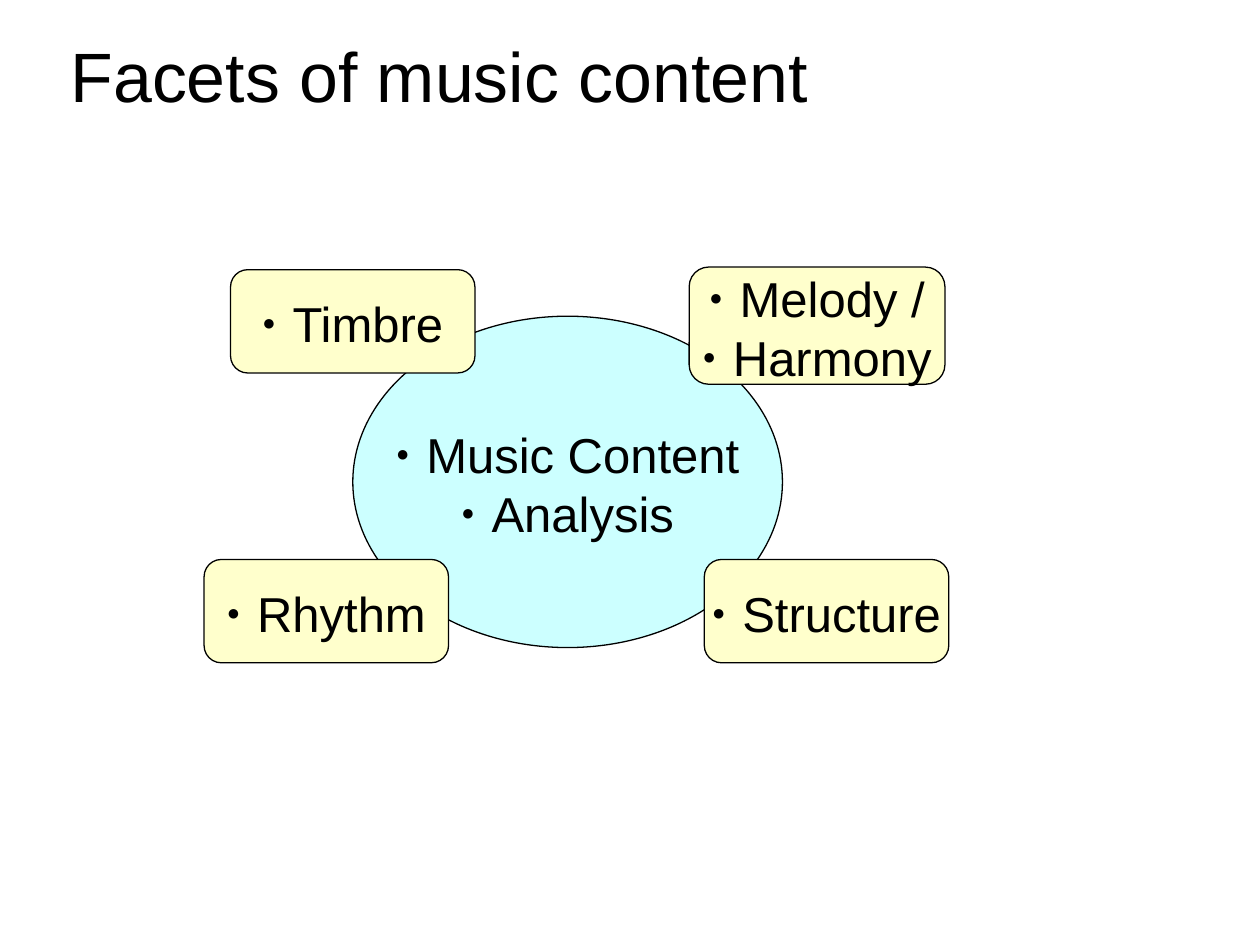
from dataclasses import dataclass

from lxml import etree
from pptx import Presentation
from pptx.dml.color import RGBColor
from pptx.enum.shapes import MSO_SHAPE
from pptx.enum.text import MSO_ANCHOR, PP_ALIGN
from pptx.oxml.ns import qn
from pptx.util import Inches, Pt

ELLIPSE = MSO_SHAPE.OVAL
ROUNDED = MSO_SHAPE.ROUNDED_RECTANGLE
MIDDLE = MSO_ANCHOR.MIDDLE
LEFT, CENTER = PP_ALIGN.LEFT, PP_ALIGN.CENTER


@dataclass(frozen=True)
class Theme:
    font: str = "Arial"
    ink: RGBColor = RGBColor(0x00, 0x00, 0x00)
    hub: RGBColor = RGBColor(0xCC, 0xFF, 0xFF)
    facet: RGBColor = RGBColor(0xFF, 0xFF, 0xCC)
    title_size: Pt = Pt(39.9)
    label_size: Pt = Pt(28)
    outline: Pt = Pt(0.75)


theme = Theme()


def write_lines(frame, lines, size, align, bulleted):
    """Fill a text frame with one paragraph per line, bulleted if asked."""
    frame.vertical_anchor = MIDDLE
    frame.margin_left = frame.margin_right = Inches(0.1)
    frame.margin_top, frame.margin_bottom = Inches(0.08), Inches(0.05)
    frame.text = "\n".join(lines)
    for paragraph in frame.paragraphs:
        paragraph.alignment = align
        if bulleted:
            props = paragraph._p.get_or_add_pPr()
            props.set("marL", str(Inches(0.24)))
            props.set("indent", str(-Inches(0.24)))
            color = etree.SubElement(props, qn("a:buClr"))
            etree.SubElement(color, qn("a:srgbClr"), val=str(theme.ink))
            etree.SubElement(props, qn("a:buSzPct"), val="45000")
            etree.SubElement(props, qn("a:buFont"), typeface=theme.font)
            etree.SubElement(props, qn("a:buChar"), char="●")
        paragraph.font.name = theme.font
        paragraph.font.size = size
        paragraph.font.color.rgb = theme.ink


def add_node(geometry, box, fill, lines):
    """Add an outlined shape with centred, bulleted lines."""
    node = slide.shapes.add_shape(geometry, *(Inches(n) for n in box))
    node.shadow.inherit = False
    node.fill.solid()
    node.fill.fore_color.rgb = fill
    node.line.color.rgb = theme.ink
    node.line.width = theme.outline
    node.text_frame.word_wrap = False
    write_lines(node.text_frame, lines, theme.label_size, CENTER, True)


prs = Presentation()
prs.slide_width, prs.slide_height = Inches(10), Inches(7.5)
slide = prs.slides.add_slide(prs.slide_layouts[5])

title = slide.shapes.title
title.left, title.top = Inches(0.46), Inches(0.08)
title.width, title.height = Inches(8.21), Inches(1)
write_lines(title.text_frame, ["Facets of music content"],
            theme.title_size, LEFT, False)

add_node(ELLIPSE, (2.8, 2.51, 3.41, 2.63), theme.hub,
         ["Music Content", "Analysis"])

facet_size = (1.94, 0.82)
facets = [
    ((1.83, 2.14, *facet_size), ["Timbre"]),
    ((1.62, 4.44, *facet_size), ["Rhythm"]),
    ((5.47, 2.12, 2.03, 0.93), ["Melody /", "Harmony"]),
    ((5.59, 4.44, *facet_size), ["Structure"]),
]
for box, lines in facets:
    add_node(ROUNDED, box, theme.facet, lines)

prs.save("out.pptx")
